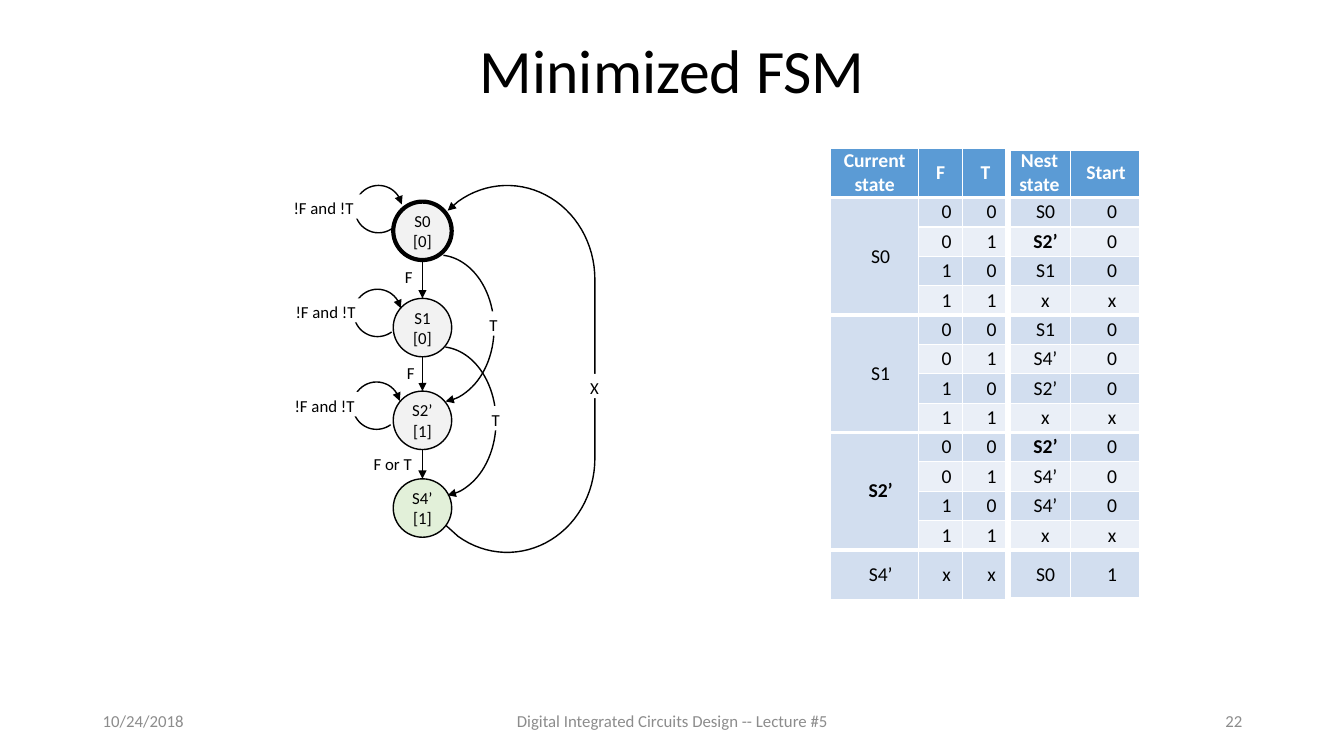
import math

import pptx
import pptx.dml.color
import pptx.enum.shapes
import pptx.enum.text
import pptx.oxml
import pptx.oxml.ns
import pptx.util

Inches = pptx.util.Inches
Pt = pptx.util.Pt
MSO_SHAPE = pptx.enum.shapes.MSO_SHAPE
ALIGN = pptx.enum.text.PP_ALIGN
MIDDLE = pptx.enum.text.MSO_ANCHOR.MIDDLE
FONT = "Calibri"
BLACK, WHITE, GREY = "000000", "FFFFFF", "8C8C8C"

STATES = [
    ("S0\n[0]", 2, "F2F2F2", 3),
    ("S1\n[0]", 2.96, "F2F2F2", 1),
    ("S2’\n[1]", 3.88, "F2F2F2", 1),
    ("S4’\n[1]", 4.75, "E2F0D9", 1),
]
STATE_X, STATE_D = 3.9, 0.58
LOOPS = [(3.52, 1.84), (3.51, 2.87), (3.5, 3.79)]
SKIPS = [(3.79, 2.53, 1.11, 1.46), (3.81, 3.44, 1.11, 1.48)]
LABELS = [
    ("!F and !T", 2.83, 1.93, 0.76),
    ("!F and !T", 2.85, 2.96, 0.76),
    ("!F and !T", 2.84, 3.89, 0.76),
    ("F", 3.96, 2.61, 0.19),
    ("F", 3.98, 3.56, 0.19),
    ("F or T", 3.69, 4.47, 0.41),
    ("T", 4.8, 3.09, 0.19),
    ("T", 4.82, 4.03, 0.19),
    ("X", 5.8, 3.71, 0.19),
]
HEADERS = ["Current state", "F", "T", "Nest state", "Start"]
INPUTS = ["00", "01", "10", "11"]
NEXT_STATES = {
    "S0": ["S0", "S2’", "S1", "x"],
    "S1": ["S1", "S4’", "S2’", "x"],
    "S2’": ["S2’", "S4’", "S4’", "x"],
}
BOLD_CELLS = {(2, 3), (9, 0), (9, 3)}
COL_WIDTHS = [0.87, 0.44, 0.45, 0.62, 0.7]
COL_BORDERS = [1, 1, 1, 4.5, 1, 4.5]


def rgb(value):
    """Turn a hex string into a colour."""
    return pptx.dml.color.RGBColor.from_string(value)


def write(tf, text, size, color=BLACK, align=ALIGN.CENTER, bold=False, spacing=None):
    """Fill a text frame, one paragraph per line."""
    tf.text = text
    for p in tf.paragraphs:
        p.alignment = align
        p.font.name, p.font.size, p.font.bold = FONT, Pt(size), bold
        p.font.color.rgb = rgb(color)
        if spacing:
            p.line_spacing = spacing


def add_text(s, text, box, size, color, align, spacing=None):
    """Add a text box centred vertically."""
    tf = s.shapes.add_textbox(*map(Inches, box)).text_frame
    tf.word_wrap = True
    tf.vertical_anchor = MIDDLE
    write(tf, text, size, color, align, spacing=spacing)


def style_line(sp, width=1, arrow=None):
    """Draw a black line, with an arrowhead at headEnd or tailEnd."""
    sp.line.color.rgb = rgb(BLACK)
    sp.line.width = Pt(width)
    if arrow:
        ln = sp.element.spPr.find(pptx.oxml.ns.qn("a:ln"))
        ns = pptx.oxml.ns.nsdecls("a")
        ln.append(pptx.oxml.parse_xml(f'<a:{arrow} {ns} type="triangle"/>'))


def add_state(s, text, top, fill, width):
    """Add a state circle."""
    box = STATE_X, top, STATE_D, STATE_D
    sp = s.shapes.add_shape(MSO_SHAPE.OVAL, *map(Inches, box))
    sp.shadow.inherit = False
    sp.fill.solid()
    sp.fill.fore_color.rgb = rgb(fill)
    style_line(sp, width)
    tf = sp.text_frame
    tf.word_wrap = False
    tf.vertical_anchor = MIDDLE
    write(tf, text, 12)


def add_arc(s, box, angles, flips, arrow):
    """Add a mirrored arc with an arrowhead."""
    sp = s.shapes.add_shape(MSO_SHAPE.ARC, *map(Inches, box))
    sp.shadow.inherit = False
    sp.fill.background()
    sp.adjustments[0], sp.adjustments[1] = angles
    for flip in flips:
        sp.element.spPr.xfrm.set(flip, "1")
    style_line(sp, 1, arrow)


def add_arrow(s, x, top, bottom):
    """Add a downward arrow."""
    ends = map(Inches, (x, top, x, bottom))
    sp = s.shapes.add_connector(pptx.enum.shapes.MSO_CONNECTOR.STRAIGHT, *ends)
    style_line(sp, 1, "tailEnd")
    effects = f'<a:effectLst {pptx.oxml.ns.nsdecls("a")}/>'
    sp.element.spPr.append(pptx.oxml.parse_xml(effects))


def add_return_path(s):
    """Add the outer path from S4’ back to S0."""
    cx, rx, ry = 5.03, 0.87, 0.93
    sweep = [math.radians(a) for a in range(124, -1, -4)]
    lower = [(cx + rx * math.cos(a), 4.55 + ry * math.sin(a)) for a in sweep]
    upper = [(x, 2.77 + 4.55 - y) for x, y in reversed(lower)]
    points = [(Inches(x), Inches(y)) for x, y in lower + upper + [(4.44, 2.09)]]
    builder = s.shapes.build_freeform(Inches(4.42), Inches(5.21))
    builder.add_line_segments(points, close=False)
    sp = builder.convert_to_shape()
    sp.shadow.inherit = False
    sp.fill.background()
    style_line(sp, 1, "tailEnd")


def add_label(s, text, left, top, width):
    """Add a transition label on a white ground."""
    box = left, top, width, 0.24
    sp = s.shapes.add_shape(MSO_SHAPE.RECTANGLE, *map(Inches, box))
    sp.shadow.inherit = False
    sp.fill.solid()
    sp.fill.fore_color.rgb = rgb(WHITE)
    sp.line.fill.background()
    tf = sp.text_frame
    tf.word_wrap = False
    tf.vertical_anchor = MIDDLE
    tf.margin_left = tf.margin_right = tf.margin_bottom = 0
    tf.margin_top = Inches(0.04)
    write(tf, text, 12, spacing=Pt(13.8))


def row_border(edge, col):
    """Give the width of a horizontal table border."""
    if edge in (0, 14):
        return 4.5 if col > 2 else 1
    return 3 if edge % 4 == 1 else 1


def style_cell(cell, row, col, text):
    """Set the borders, fill and text of a table cell."""
    widths = {"L": COL_BORDERS[col], "R": COL_BORDERS[col + 1],
              "T": row_border(row, col), "B": row_border(row + 1, col)}
    tc_pr = cell._tc.get_or_add_tcPr()
    for side, width in widths.items():
        tc_pr.append(pptx.oxml.parse_xml(
            f'<a:ln{side} {pptx.oxml.ns.nsdecls("a")} w="{Pt(width)}"><a:solidFill>'
            f'<a:srgbClr val="{WHITE}"/></a:solidFill></a:ln{side}>'))
    cell.fill.solid()
    fill = "5B9BD5" if row == 0 else "D2DEEF" if row % 2 else "EAEFF7"
    cell.fill.fore_color.rgb = rgb(fill)
    cell.vertical_anchor = MIDDLE
    cell.margin_left = Inches(0.12 if row else 0)
    cell.margin_right = cell.margin_top = cell.margin_bottom = 0
    bold = row == 0 or (row, col) in BOLD_CELLS
    write(cell.text_frame, text, 14, BLACK if row else WHITE, bold=bold)


def add_state_table(s):
    """Add the state transition table."""
    rows = [HEADERS]
    for state, targets in NEXT_STATES.items():
        for i, (inputs, target) in enumerate(zip(INPUTS, targets)):
            start = "x" if target == "x" else "0"
            rows.append(["" if i else state, *inputs, target, start])
    rows.append(["S4’", "x", "x", "S0", "1"])
    box = map(Inches, (8.24, 1.47, sum(COL_WIDTHS), 4.48))
    table = s.shapes.add_table(len(rows), len(HEADERS), *box).table
    for column, width in zip(table.columns, COL_WIDTHS):
        column.width = Inches(width)
    for r, values in enumerate(rows):
        table.rows[r].height = Inches(0.49 if r in (0, 13) else 3.5 / 12)
        for c, text in enumerate(values):
            style_cell(table.cell(r, c), r, c, text)
    for r in (1, 5, 9):
        table.cell(r, 0).merge(table.cell(r + 3, 0))


def main():
    """Build the slide and save it."""
    prs = pptx.Presentation()
    prs.slide_width, prs.slide_height = Inches(13.33), Inches(7.5)
    s = prs.slides.add_slide(prs.slide_layouts[6])
    add_text(s, "Minimized FSM", (0.92, 0.33, 11.5, 0.79), 44, BLACK, ALIGN.CENTER, 0.9)
    for text, left, width, align in [
        ("10/24/2018", 0.92, 3, ALIGN.LEFT),
        ("Digital Integrated Circuits Design -- Lecture #5", 4.42, 4.5, ALIGN.CENTER),
        ("22", 9.42, 3, ALIGN.RIGHT),
    ]:
        add_text(s, text, (left, 6.95, width, 0.4), 12, GREY, align)
    for state in STATES:
        add_state(s, *state)
    for upper, lower in zip(STATES, STATES[1:]):
        add_arrow(s, STATE_X + STATE_D / 2, upper[1] + STATE_D, lower[1])
    for left, top in LOOPS:
        add_arc(s, (left, top, 0.47, 0.47), (114.92, 75.89), ["flipH"], "headEnd")
    for box in SKIPS:
        add_arc(s, box, (56.5, 158.5), ["flipH", "flipV"], "tailEnd")
    add_return_path(s)
    for label in LABELS:
        add_label(s, *label)
    add_state_table(s)
    prs.save("out.pptx")


if __name__ == "__main__":
    main()
